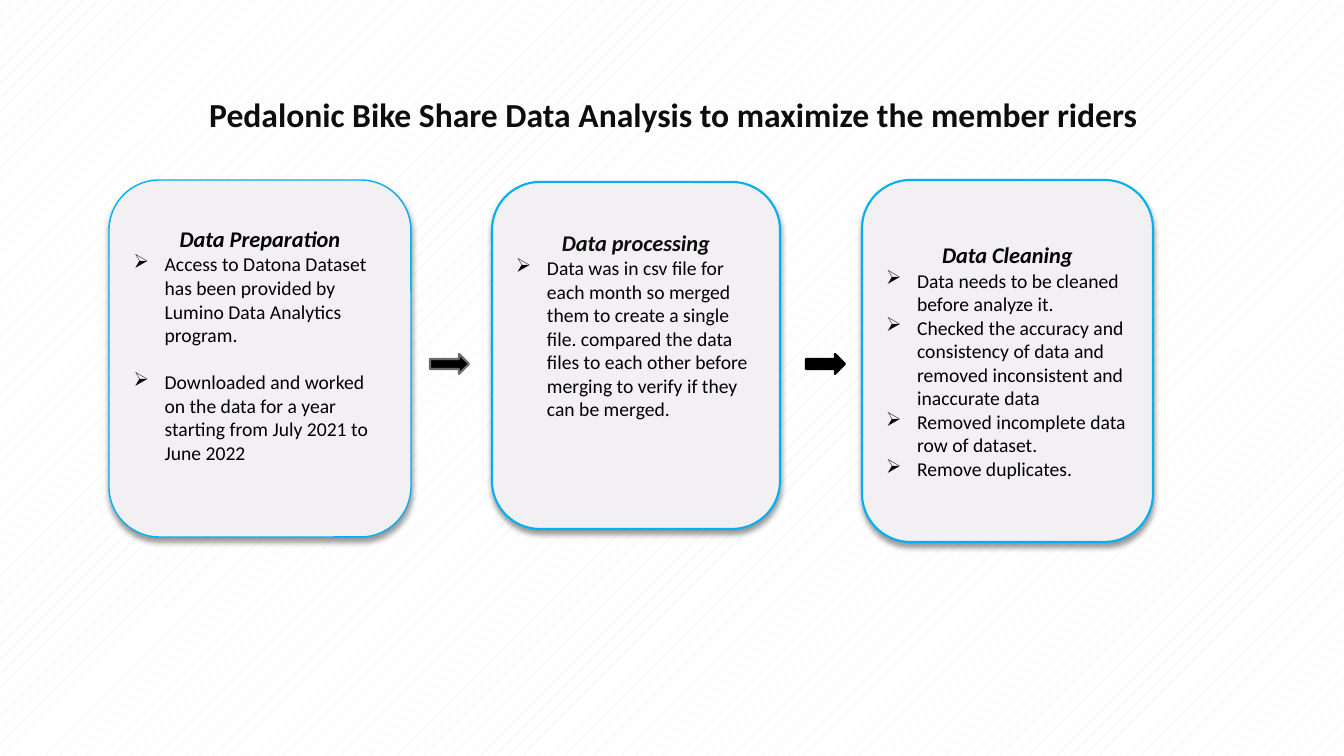
from lxml import etree
from pptx import Presentation
from pptx.dml.color import RGBColor
from pptx.enum.dml import MSO_PATTERN
from pptx.enum.shapes import MSO_SHAPE
from pptx.enum.text import MSO_ANCHOR, MSO_AUTO_SIZE, PP_ALIGN
from pptx.oxml.ns import qn
from pptx.util import Pt

ROUNDED, ARROW = MSO_SHAPE.ROUNDED_RECTANGLE, MSO_SHAPE.RIGHT_ARROW
CENTER, LEFT = PP_ALIGN.CENTER, PP_ALIGN.LEFT
TOP, MIDDLE = MSO_ANCHOR.TOP, MSO_ANCHOR.MIDDLE

SLIDE_SIZE = (1344, 756)
TITLE = "Pedalonic Bike Share Data Analysis to maximize the member riders"
TITLE_BOX = (82, 89, 1183, 66)
BLACK, INK, CARD_FILL, CARD_LINE = "000000", "0D0D0D", "F3F0F3", "00B0F0"
BULLET_INDENT = 31

# bullets are (text, points of space before)
CARDS = [
    {"box": (109, 180, 302, 357), "line_width": 1, "bottom_inset": 32,
     "heading": "Data Preparation", "heading_color": BLACK,
     "bullets": [
         ("Access to Datona Dataset has been provided by Lumino Data Analytics program.", 0),
         ("Downloaded and worked on the data for a year starting from July 2021 to June 2022", 17)]},
    {"box": (492, 182, 288, 347), "line_width": 1.5, "bottom_inset": 66,
     "heading": "Data processing", "heading_color": INK,
     "bullets": [
         ("Data was in csv file for each month so merged them to create a single file. "
          "compared the data files to each other before merging to verify if they can be merged.", 0)]},
    {"box": (862, 180, 291, 362), "line_width": 1.5, "bottom_inset": 5,
     "heading": "Data Cleaning", "heading_color": BLACK,
     "bullets": [
         ("Data needs to be cleaned before analyze it.", 0),
         ("Checked the accuracy and consistency of data and removed inconsistent "
          "and inaccurate data", 0),
         ("Removed incomplete data row of dataset.", 0),
         ("Remove duplicates.", 0)]},
]
ARROWS = [((430, 354, 39, 20), "6F6868"), ((806, 354, 39, 20), BLACK)]


def px(length):
    return round(length * 914400 / 100.8)


def color(value):
    return RGBColor.from_string(value)


def write(paragraph, text, size=14, ink=BLACK, bold=False, italic=False,
          align=LEFT, bullet=None, before=0):
    paragraph.alignment = align
    paragraph.space_before = Pt(before)
    run = paragraph.add_run()
    run.text = text
    font = run.font
    font.name, font.size, font.bold, font.italic = "Calibri", Pt(size), bold, italic
    font.color.rgb = color(ink)
    if bullet:
        properties = paragraph._p.get_or_add_pPr()
        properties.set("marL", str(px(BULLET_INDENT)))
        properties.set("indent", str(-px(BULLET_INDENT)))
        etree.SubElement(properties, qn("a:buChar"), char=bullet)


def add_box(slide, kind, box, fill, line, line_width):
    shape = slide.shapes.add_shape(kind, *map(px, box))
    shape.shadow.inherit = False
    shape.fill.solid()
    shape.fill.fore_color.rgb = color(fill)
    shape.line.color.rgb = color(line)
    shape.line.width = Pt(line_width)
    return shape


def add_shadow(shape):
    effects = shape._element.spPr.find(qn("a:effectLst"))
    shadow = etree.SubElement(effects, qn("a:outerShdw"), blurRad=str(Pt(4)),
                              dist=str(Pt(3)), dir="5400000", algn="t", rotWithShape="0")
    tint = etree.SubElement(shadow, qn("a:srgbClr"), val=BLACK)
    etree.SubElement(tint, qn("a:alpha"), val="40000")


def add_card(slide, card):
    shape = add_box(slide, ROUNDED, card["box"], CARD_FILL, CARD_LINE, card["line_width"])
    add_shadow(shape)
    frame = shape.text_frame
    frame.word_wrap = True
    frame.vertical_anchor = MIDDLE
    frame.margin_bottom = px(card["bottom_inset"])
    write(frame.paragraphs[0], card["heading"], size=16, ink=card["heading_color"],
          bold=True, italic=True, align=CENTER)
    for text, before in card["bullets"]:
        write(frame.add_paragraph(), text, bullet="➢", before=before)


def add_title(slide):
    title = slide.shapes.title
    title.left, title.top, title.width, title.height = map(px, TITLE_BOX)
    frame = title.text_frame
    frame.word_wrap = True
    frame.auto_size = MSO_AUTO_SIZE.NONE
    frame.vertical_anchor = TOP
    write(frame.paragraphs[0], TITLE, size=24, ink=INK, bold=True, align=CENTER)


def main():
    presentation = Presentation()
    presentation.slide_width, presentation.slide_height = map(px, SLIDE_SIZE)
    slide = presentation.slides.add_slide(presentation.slide_layouts[5])
    background = slide.background.fill
    background.patterned()
    background.pattern = MSO_PATTERN.PERCENT_5
    background.fore_color.rgb = color("EAE8E8")
    background.back_color.rgb = color("FFFFFF")
    add_title(slide)
    for card in CARDS:
        add_card(slide, card)
    for box, line in ARROWS:
        add_box(slide, ARROW, box, BLACK, line, 1.5)
    presentation.save("out.pptx")


if __name__ == "__main__":
    main()
